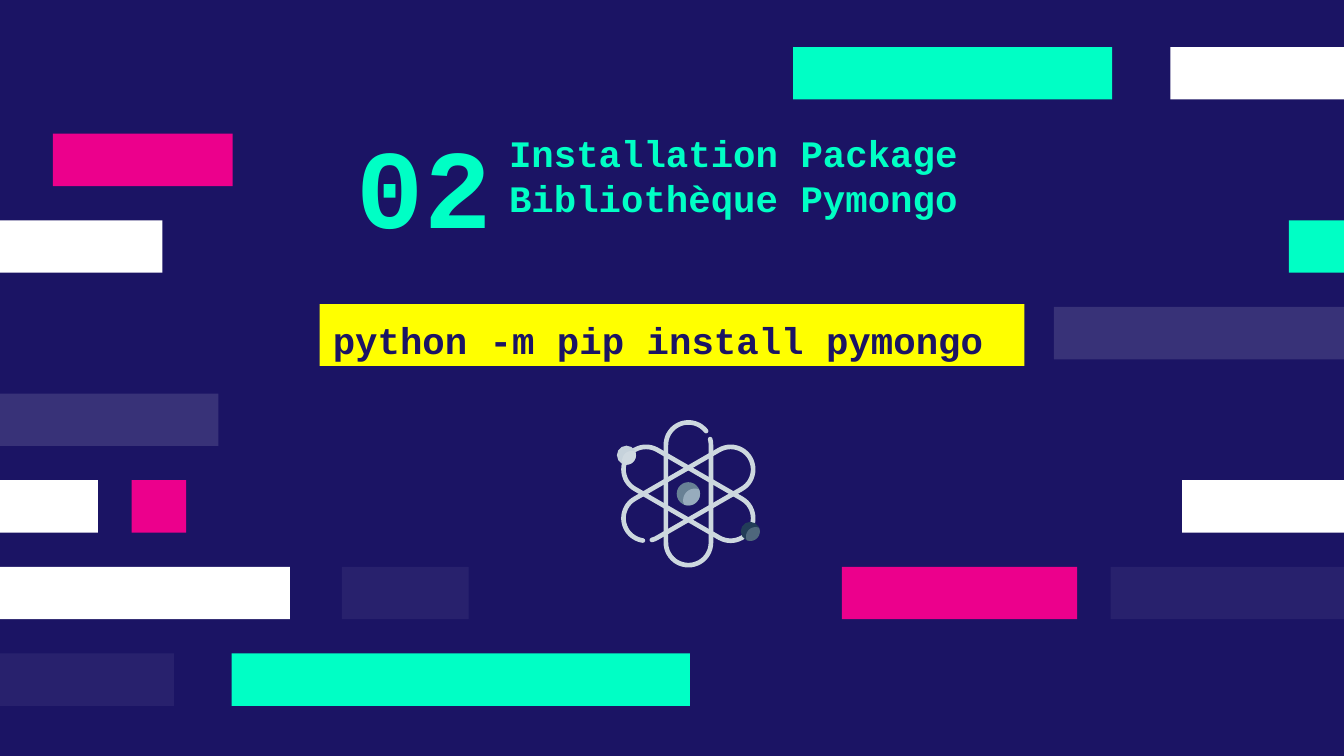
from math import acos, cos, degrees, radians, sin

from pptx import Presentation
from pptx import util as u
from pptx.dml.color import RGBColor
from pptx.enum import shapes, text
from pptx.oxml.ns import qn
from lxml import etree

COLOURS = {
    "navy": "1B1464", "white": "FFFFFF", "mint": "00FFC5", "pink": "EC008C",
    "yellow": "FFFF00", "orbit": "CDD8DF",
    "nucleus": "688195", "nucleus_shine": "97ACBD",
    "light": "C6D2DB", "light_shine": "CFD9E0",
    "dark": "223D58", "dark_shine": "4E677C",
}
FONT = "Courier New"
SLIDE_BOX = (0, 0, 25.4, 14.29)

# Bars: row, left, width, colour, opacity in percent
BARS = [
    (0, 14.99, 6.03, "mint", 100), (0, 22.12, 3.28, "white", 100),
    (1, 1.0, 3.4, "pink", 100),
    (2, 0, 3.07, "white", 100), (2, 24.36, 1.04, "mint", 100),
    (3, 19.92, 5.48, "white", 13),
    (4, 0, 4.13, "white", 13),
    (5, 0, 1.85, "white", 100), (5, 2.49, 1.03, "pink", 100),
    (5, 22.34, 3.06, "white", 100),
    (6, 0, 5.48, "white", 100), (6, 6.46, 2.4, "white", 6),
    (6, 15.91, 4.45, "pink", 100), (6, 20.99, 4.41, "white", 6),
    (7, 0, 3.29, "white", 6), (7, 4.38, 8.66, "mint", 100),
]


def colour(name):
    return RGBColor.from_string(COLOURS[name])


def paint(shape, name, opacity=100):
    shape.shadow.inherit = False
    shape.line.fill.background()
    shape.fill.solid()
    shape.fill.fore_color.rgb = colour(name)
    if opacity < 100:
        rgb = shape.fill._xPr.find(".//" + qn("a:srgbClr"))
        etree.SubElement(rgb, qn("a:alpha")).set("val", str(opacity * 1000))


def place(shape, box):
    shape.left, shape.top, shape.width, shape.height = map(u.Cm, box)


def write(shape, words, size, name, align=text.PP_ALIGN.LEFT,
          anchor=text.MSO_ANCHOR.TOP, margin=0.25):
    frame = shape.text_frame
    frame.text = words
    frame.word_wrap = True
    frame.auto_size = text.MSO_AUTO_SIZE.NONE
    frame.vertical_anchor = anchor
    frame.margin_left = frame.margin_right = u.Cm(0.25)
    frame.margin_top = frame.margin_bottom = u.Cm(margin)
    for paragraph in frame.paragraphs:
        paragraph.alignment = align
        paragraph.line_spacing = 1.0
        paragraph.space_before = u.Pt(0)
        font = paragraph.font
        font.name, font.size, font.bold = FONT, u.Pt(size), True
        font.color.rgb = colour(name)


def add_bars(slide, box):
    left, top, _, height = box
    pitch = height * 0.1146
    for row, start, width, name, opacity in BARS:
        bar = slide.shapes.add_shape(
            shapes.MSO_SHAPE.RECTANGLE, u.Cm(left + start),
            u.Cm(top + 0.89 + row * pitch), u.Cm(width), u.Cm(0.99))
        paint(bar, name, opacity)


def add_heading(slide, box):
    left, top, width, height = box
    number, title = slide.placeholders[1], slide.shapes.title
    # Number: wide centred box resting on the bottom edge
    place(number, (left, top + height - 1.37, 23.39, 1.37))
    write(number, "02", 60, "mint", text.PP_ALIGN.CENTER,
          text.MSO_ANCHOR.BOTTOM, 0)
    # Title: right-hand part, from the top edge
    place(title, (left + 13.05, top, width - 13.05, 1.57))
    write(title, "Installation Package\vBibliothèque Pymongo", 20, "mint")


def add_command(slide, box):
    panel = slide.shapes.add_shape(shapes.MSO_SHAPE.RECTANGLE, *map(u.Cm, box))
    paint(panel, "yellow")
    write(panel, "python -m pip install pymongo", 20, "navy")


def arc(centre, radius, start, end, steps=24):
    """Points on a circle, by clockwise bearing from the top."""
    bearings = [radians(start + (end - start) * i / steps)
                for i in range(steps + 1)]
    return [(centre[0] + radius * sin(b), centre[1] - radius * cos(b))
            for b in bearings]


def add_outline(slide, points, close):
    points = [(u.Cm(x), u.Cm(y)) for x, y in points]
    builder = slide.shapes.build_freeform(*points[0], scale=1.0)
    builder.add_line_segments(points[1:], close=close)
    return builder.convert_to_shape()


def add_orbit(slide, centre, size, turn, mirror=1, gap=True):
    """A capsule-shaped ring, turned clockwise, with an optional gap."""
    radius, reach = 0.158 * size, 0.343 * size
    first, last = (75, 412) if gap else (90, 450)
    points = (arc((0, -reach), radius, first, 90)
              + arc((0, reach), radius, 90, 270)
              + arc((0, -reach), radius, 270, last))
    c, s = cos(radians(turn)), sin(radians(turn))
    points = [(centre[0] + mirror * x * c - y * s,
               centre[1] + mirror * x * s + y * c) for x, y in points]
    orbit = add_outline(slide, points, close=not gap)
    orbit.shadow.inherit = False
    orbit.fill.background()
    orbit.line.color.rgb = colour("orbit")
    orbit.line.width = u.Pt(2.5)
    orbit.line._get_or_add_ln().set("cap", "rnd")


def add_particle(slide, centre, radius, name):
    x, y = centre
    dot = slide.shapes.add_shape(
        shapes.MSO_SHAPE.OVAL, u.Cm(x - radius), u.Cm(y - radius),
        u.Cm(2 * radius), u.Cm(2 * radius))
    paint(dot, name)
    # Shine: overlap of the dot with an equal circle to its lower right
    offset = 0.78 * radius
    half = degrees(acos(offset / (2 * radius)))
    shift = offset * sin(radians(45))
    lens = (arc(centre, radius, 135 - half, 135 + half)
            + arc((x + shift, y + shift), radius, 315 - half, 315 + half))
    paint(add_outline(slide, lens, close=True), name + "_shine")


def add_atom(slide, box):
    left, top, width, height = box
    x, y = left + width / 2, top + height / 2
    add_orbit(slide, (x, y), height * 0.965, 0)
    add_orbit(slide, (x, y), height * 0.965, 240, mirror=-1)
    add_orbit(slide, (x, y), height * 0.965, -60, gap=False)
    add_particle(slide, (x, y), 0.22, "nucleus")
    add_particle(slide, (x - 1.17, y - 0.73), 0.18, "light")
    add_particle(slide, (x + 1.17, y + 0.71), 0.18, "dark")


def main():
    presentation = Presentation()
    presentation.slide_width = u.Cm(SLIDE_BOX[2])
    presentation.slide_height = u.Cm(SLIDE_BOX[3])
    slide = presentation.slides.add_slide(presentation.slide_layouts[0])
    slide.background.fill.solid()
    slide.background.fill.fore_color.rgb = colour("navy")
    add_bars(slide, SLIDE_BOX)
    add_heading(slide, (-3.68, 2.21, 28.09, 2.54))
    add_command(slide, (6.04, 5.75, 13.32, 1.17))
    add_atom(slide, (11.61, 7.94, 2.8, 2.79))
    presentation.save("out.pptx")


if __name__ == "__main__":
    main()
